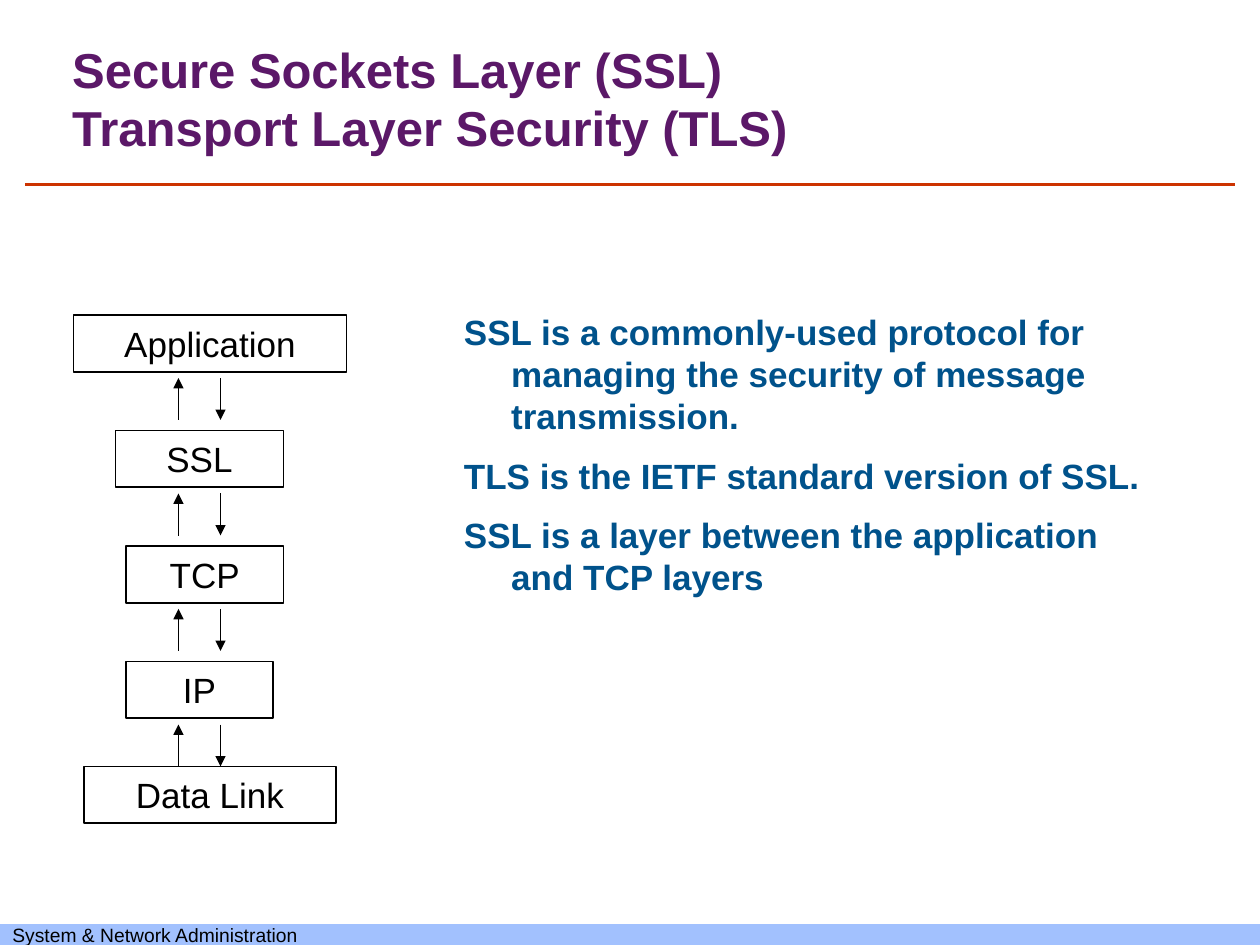
from typing import NamedTuple

from lxml.etree import SubElement
from pptx import Presentation
from pptx.dml.color import RGBColor
from pptx.enum.shapes import MSO_CONNECTOR, MSO_SHAPE
from pptx.enum.text import MSO_ANCHOR, PP_ALIGN
from pptx.oxml.ns import qn
from pptx.util import Emu, Pt

PX_PER_INCH = 120
BLACK, PURPLE, BLUE, RED, PALE_BLUE = "000000", "5B1868", "00528B", "CC3300", "A2C1FE"
LAYER_HEIGHT = 54
ARROW_OFFSET, ARROW_LENGTH = 60, 40
UP_X, DOWN_X = 170, 210


class Layer(NamedTuple):
    """One protocol layer of the stack, in px."""
    name: str
    left: int
    top: int
    width: int


class TextStyle(NamedTuple):
    """Look of a text box; indents are in px and spacing in points."""
    size: int
    color: str
    margin: int
    indent: int
    line_spacing: int
    space_before: int
    anchor: MSO_ANCHOR


LAYERS = [
    Layer("Application", 70, 300, 260),
    Layer("SSL", 110, 410, 160),
    Layer("TCP", 120, 520, 150),
    Layer("IP", 120, 630, 140),
    Layer("Data Link", 80, 730, 240),
]
TITLE = ["Secure Sockets Layer (SSL)", "Transport Layer Security (TLS)"]
BODY = [
    "SSL is a commonly-used protocol for managing the security of message transmission.",
    "TLS is the IETF standard version of SSL.",
    "SSL is a layer between the application and TCP layers",
]
TITLE_STYLE = TextStyle(28, PURPLE, 11, 0, 33, 0, MSO_ANCHOR.MIDDLE)
BODY_STYLE = TextStyle(20, BLUE, 45, -45, 24, 10, MSO_ANCHOR.TOP)


def px(length: int) -> Emu:
    """Turn px into EMU."""
    return Emu(length * 914400 // PX_PER_INCH)


def rgb(color: str) -> RGBColor:
    """Turn a hex string into a colour."""
    return RGBColor.from_string(color)


def set_font(paragraph, size: int, color: str, bold: bool = False) -> None:
    """Format every run of a paragraph."""
    for run in paragraph.runs:
        run.font.name = "Arial"
        run.font.size = Pt(size)
        run.font.bold = bold
        run.font.color.rgb = rgb(color)


def add_box(slide, left: int, top: int, width: int, height: int, text: str,
            size: int, align: PP_ALIGN):
    """Add an unfilled, unlined rectangle with black text."""
    shape = slide.shapes.add_shape(MSO_SHAPE.RECTANGLE, px(left), px(top), px(width), px(height))
    shape.shadow.inherit = False
    shape.fill.background()
    shape.line.fill.background()
    text_frame = shape.text_frame
    text_frame.text = text
    text_frame.vertical_anchor = MSO_ANCHOR.MIDDLE
    paragraph = text_frame.paragraphs[0]
    paragraph.alignment = align
    set_font(paragraph, size, BLACK)
    return shape


def add_line(slide, start: tuple[int, int], end: tuple[int, int], color: str,
             weight: float, arrow: bool = False) -> None:
    """Add a straight line, with an arrowhead at its end if wanted."""
    line = slide.shapes.add_connector(
        MSO_CONNECTOR.STRAIGHT, *(px(value) for value in (*start, *end)))
    line.line.color.rgb = rgb(color)
    line.line.width = Pt(weight)
    properties = line._element.spPr
    if arrow:
        SubElement(properties.find(qn("a:ln")), qn("a:tailEnd"), type="triangle")
    SubElement(properties, qn("a:effectLst"))


def add_text(slide, left: int, top: int, width: int, height: int,
             lines: list[str], style: TextStyle) -> None:
    """Add a text box with one bold paragraph for each line."""
    text_frame = slide.shapes.add_textbox(px(left), px(top), px(width), px(height)).text_frame
    text_frame.word_wrap = True
    text_frame.vertical_anchor = style.anchor
    text_frame.text = "\n".join(lines)
    for index, paragraph in enumerate(text_frame.paragraphs):
        properties = paragraph._p.get_or_add_pPr()
        properties.set("marL", str(px(style.margin)))
        properties.set("indent", str(px(style.indent)))
        paragraph.line_spacing = Pt(style.line_spacing)
        paragraph.space_before = Pt(style.space_before if index else 0)
        set_font(paragraph, style.size, style.color, bold=True)


def add_stack(slide) -> None:
    """Draw the layers and the pair of arrows below each but the last."""
    for layer in LAYERS:
        box = add_box(slide, layer.left, layer.top, layer.width, LAYER_HEIGHT,
                      layer.name, 20, PP_ALIGN.CENTER)
        box.line.color.rgb = rgb(BLACK)
        box.line.width = Pt(1)
    for layer in LAYERS[:-1]:
        upper = layer.top + ARROW_OFFSET
        lower = upper + ARROW_LENGTH
        add_line(slide, (UP_X, lower), (UP_X, upper), BLACK, 1, arrow=True)
        add_line(slide, (DOWN_X, upper), (DOWN_X, lower), BLACK, 1, arrow=True)


def main() -> None:
    """Build and save the slide."""
    presentation = Presentation()
    presentation.slide_width, presentation.slide_height = px(1200), px(900)
    slide = presentation.slides.add_slide(presentation.slide_layouts[6])
    footer = add_box(slide, 0, 880, 1200, 20, "System & Network Administration", 11, PP_ALIGN.LEFT)
    footer.fill.solid()
    footer.fill.fore_color.rgb = rgb(PALE_BLUE)
    add_line(slide, (24, 176), (1176, 176), RED, 1.5)
    add_stack(slide)
    add_text(slide, 46, 43, 1080, 101, TITLE, TITLE_STYLE)
    add_text(slide, 430, 290, 680, 510, BODY, BODY_STYLE)
    presentation.save("out.pptx")


if __name__ == "__main__":
    main()
